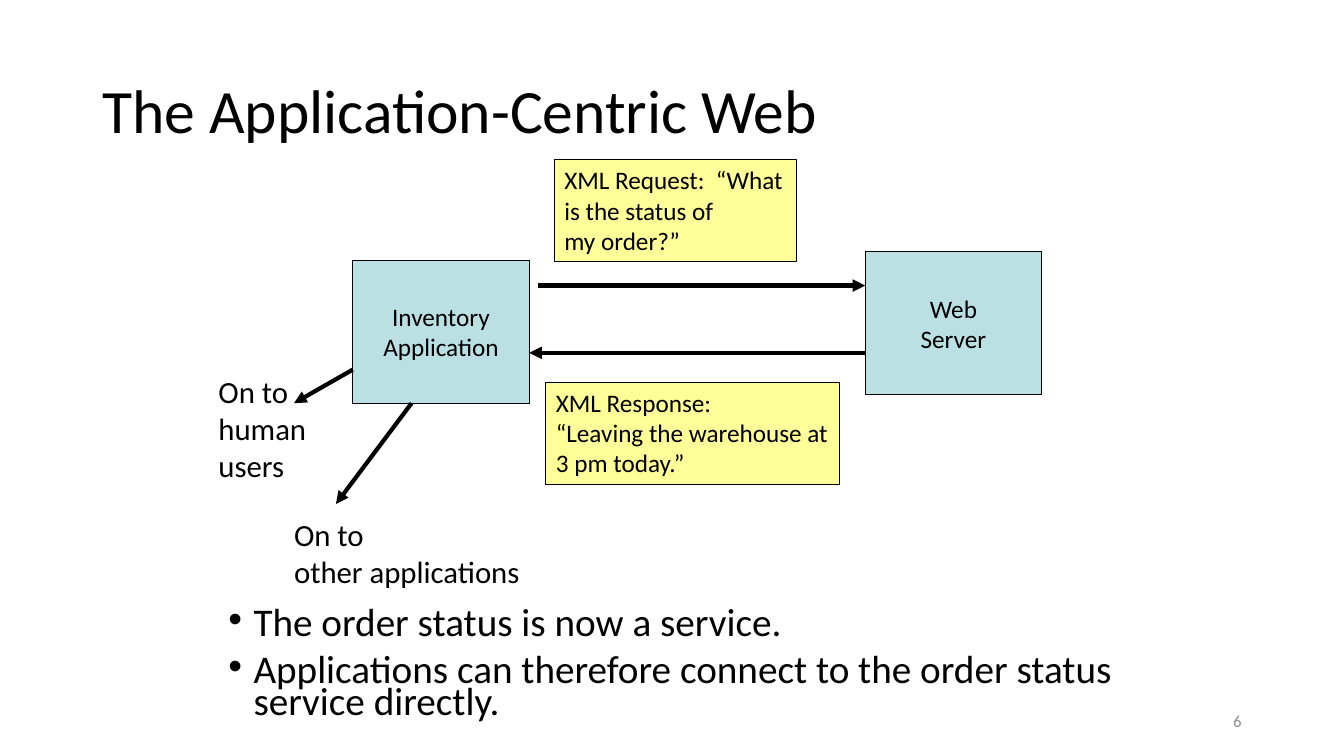
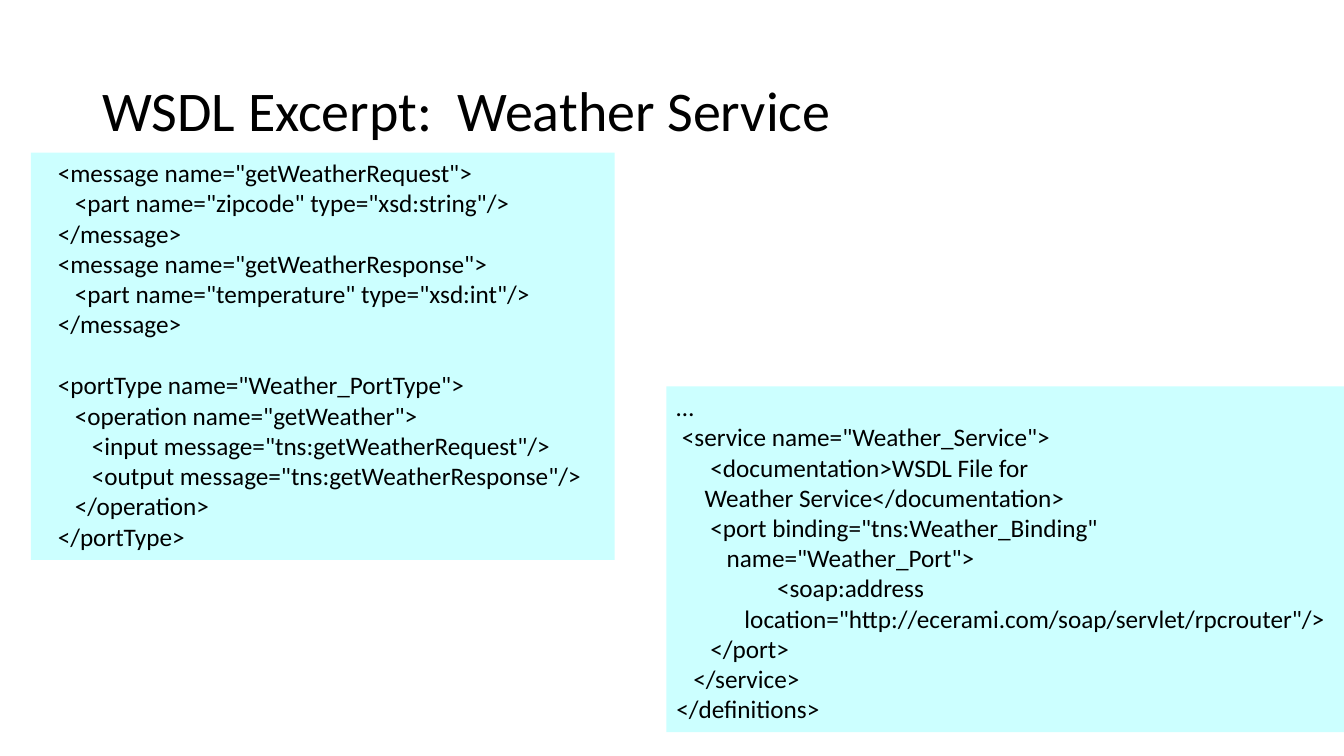
from lxml import etree
from pptx import Presentation
from pptx.dml.color import RGBColor
from pptx.enum.shapes import MSO_CONNECTOR, MSO_SHAPE
from pptx.enum.text import MSO_ANCHOR, PP_ALIGN
from pptx.oxml.ns import qn
from pptx.util import Pt

RECTANGLE = MSO_SHAPE.RECTANGLE
STRAIGHT = MSO_CONNECTOR.STRAIGHT
TOP, MIDDLE = MSO_ANCHOR.TOP, MSO_ANCHOR.MIDDLE
LEFT, CENTER, RIGHT = PP_ALIGN.LEFT, PP_ALIGN.CENTER, PP_ALIGN.RIGHT

BLACK = RGBColor(0x00, 0x00, 0x00)
GRAY = RGBColor(0x8C, 0x8C, 0x8C)
NODE_BLUE = RGBColor(0xBB, 0xE0, 0xE3)
NOTE_YELLOW = RGBColor(0xFF, 0xFF, 0x99)
CODE_CYAN = RGBColor(0xCC, 0xFF, 0xFF)
FONT = "Calibri"


def add_text(slide, box, text, size, fill=None, outlined=False, color=BLACK,
             align=LEFT, anchor=TOP, wrap=True, line_spacing=None):
    lengths = [Pt(value) for value in box]
    if fill is None:
        shape = slide.shapes.add_textbox(*lengths)
    else:
        shape = slide.shapes.add_shape(RECTANGLE, *lengths)
        shape.shadow.inherit = False
        shape.fill.solid()
        shape.fill.fore_color.rgb = fill
        if outlined:
            shape.line.color.rgb = BLACK
            shape.line.width = Pt(0.75)
        else:
            shape.line.fill.background()
    text_frame = shape.text_frame
    text_frame.word_wrap = wrap
    text_frame.vertical_anchor = anchor
    text_frame.text = text
    for paragraph in text_frame.paragraphs:
        paragraph.alignment = align
        paragraph.line_spacing = line_spacing
        for run in paragraph.runs:
            run.font.name = FONT
            run.font.size = Pt(size)
            run.font.color.rgb = color
    return text_frame


presentation = Presentation()
presentation.slide_width = Pt(960)
presentation.slide_height = Pt(540)
blank_layout = presentation.slide_layouts[6]

slides = []
for title, title_size in [("The Application-Centric Web", 44),
                          ("WSDL Excerpt:  Weather Service", 40)]:
    slide = presentation.slides.add_slide(blank_layout)
    add_text(slide, (66, 29, 828, 104), title, title_size,
             anchor=MIDDLE, line_spacing=0.9)
    slides.append(slide)
diagram_slide, code_slide = slides

add_text(diagram_slide, (678, 500.5, 216, 29), "6", 12, color=GRAY,
         align=RIGHT, anchor=MIDDLE)

body = add_text(diagram_slide, (156, 432, 660, 96),
                "The order status is now a service.\n"
                "Applications can therefore connect to the order status service directly.",
                28, line_spacing=0.7)
for index, paragraph in enumerate(body.paragraphs):
    paragraph.space_before = Pt(10 if index else 0)
    properties = paragraph._p.get_or_add_pPr()
    properties.set("marL", str(Pt(18)))
    properties.set("indent", str(Pt(-18)))
    etree.SubElement(properties, qn("a:buFont")).set("typeface", "Arial")
    etree.SubElement(properties, qn("a:buChar")).set("char", "•")

for left, top, label in [(252, 186, "Inventory\nApplication"),
                         (618, 180, "Web\nServer")]:
    add_text(diagram_slide, (left, top, 126, 102), label, 18, fill=NODE_BLUE,
             outlined=True, align=CENTER, anchor=MIDDLE, wrap=False)

for box, message, wrap in [
    ((396, 114, 173, 73), "XML Request:  “What\nis the status of\nmy order?”", False),
    ((390, 273, 210, 73), "XML Response:\n“Leaving the warehouse at 3 pm today.”", True),
]:
    add_text(diagram_slide, box, message, 18, fill=NOTE_YELLOW, outlined=True, wrap=wrap)

for box, destination in [((203, 365, 177, 60), "On to\nother applications"),
                         ((149, 263, 78, 87), "On to\nhuman\nusers")]:
    add_text(diagram_slide, box, destination, 22, wrap=False)

for start_x, start_y, end_x, end_y in [(384, 204, 618, 204), (618, 252, 378, 252),
                                       (252, 264, 210, 288), (294, 288, 240, 360)]:
    arrow = diagram_slide.shapes.add_connector(
        STRAIGHT, Pt(start_x), Pt(start_y), Pt(end_x), Pt(end_y))
    arrow.line.color.rgb = BLACK
    arrow.line.width = Pt(3)
    etree.SubElement(arrow.line._get_or_add_ln(), qn("a:tailEnd")).set("type", "triangle")
    etree.SubElement(arrow._element.spPr, qn("a:effectLst"))

MESSAGES_CODE = """   <message name="getWeatherRequest">
      <part name="zipcode" type="xsd:string"/>
   </message>
   <message name="getWeatherResponse">
      <part name="temperature" type="xsd:int"/>
   </message>
   <portType name="Weather_PortType">
      <operation name="getWeather">
         <input message="tns:getWeatherRequest"/>
         <output message="tns:getWeatherResponse"/>
      </operation>
   </portType>"""

SERVICE_CODE = """…
 <service name="Weather_Service">
      <documentation>WSDL File for
     Weather Service</documentation>
      <port binding="tns:Weather_Binding"
\tname="Weather_Port">
         \t<soap:address
            location="http://ecerami.com/soap/servlet/rpcrouter"/>
      </port>
   </service>
</definitions>"""

messages = add_text(code_slide, (22, 109, 417, 291), MESSAGES_CODE, 18, fill=CODE_CYAN)
messages.paragraphs[6].space_before = Pt(22)
add_text(code_slide, (476, 276, 484, 247), SERVICE_CODE, 18, fill=CODE_CYAN, wrap=False)

presentation.save("out.pptx")
